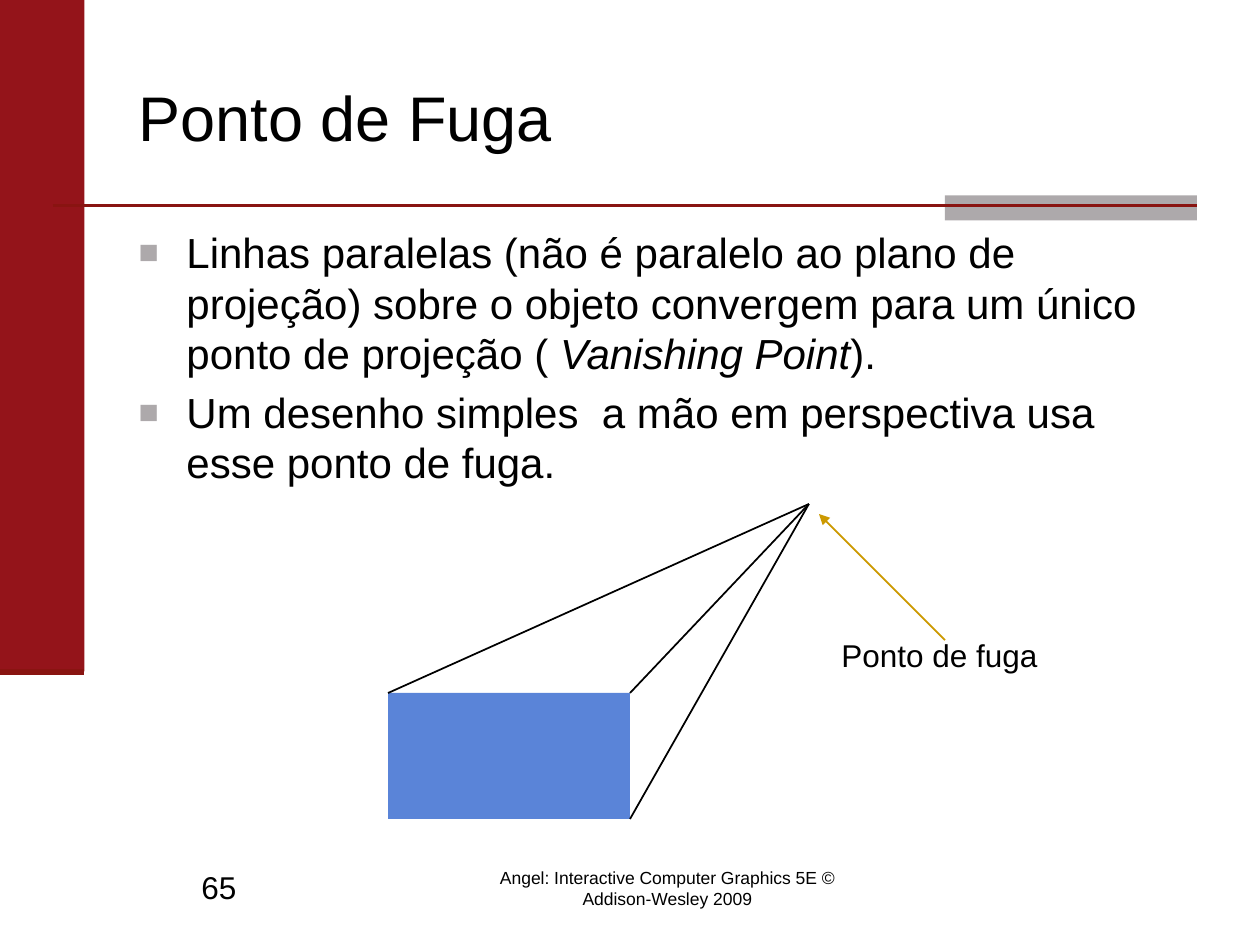
"""Build the slide about the vanishing point in perspective drawing."""
from lxml.etree import SubElement
from pptx import Presentation
from pptx.dml.color import RGBColor
from pptx.enum.shapes import MSO_CONNECTOR as Connector, MSO_SHAPE as Shape
from pptx.enum.text import MSO_ANCHOR as Anchor, MSO_AUTO_SIZE as AutoSize, PP_ALIGN as Align
from pptx.oxml.ns import qn
from pptx.util import Inches, Pt

COLORS = {"red": "94141A", "rule": "891411", "gray": "ADA9AB",
          "blue": "5A84D8", "gold": "CC9900", "black": "000000"}
WIDTH, HEIGHT = 10, 7.5
LEFT, RIGHT = 1, 9.5
BAND = (0.67, 5.33)
VANISHING_POINT = (6.42, 4)
FRONT = (3.08, 5.5, 1.92, 1)

TITLE = [[("Ponto de Fuga", False)]]
BULLETS = [
    [("Linhas paralelas (não é paralelo ao plano de projeção) sobre o objeto "
      "convergem para um único ponto de projeção ( ", False),
     ("Vanishing Point", True), (").", False)],
    [("Um desenho simples  a mão em perspectiva usa esse ponto de fuga.", False)],
]
PAGE = [[("65", False)]]
FOOTER = [[("Angel: Interactive Computer Graphics 5E © Addison-Wesley 2009", False)]]
LABEL = [[("Ponto de fuga", False)]]


def color(name):
    return RGBColor.from_string(COLORS[name])


def place(shape, box):
    shape.left, shape.top, shape.width, shape.height = map(Inches, box)


def add_bullet(properties):
    tint = SubElement(properties, qn("a:buClr"))
    SubElement(tint, qn("a:srgbClr"), val=COLORS["gray"])
    SubElement(properties, qn("a:buSzPct"), val="80000")
    SubElement(properties, qn("a:buFont"), typeface="Arial")
    SubElement(properties, qn("a:buChar"), char="■")


def write(shape, paragraphs, size=18, align=Align.LEFT, anchor=Anchor.TOP,
          indent=0, hanging=0, gap=0, bullet=False):
    frame = shape.text_frame
    frame.word_wrap = True
    frame.auto_size = AutoSize.NONE
    frame.vertical_anchor = anchor
    for index, runs in enumerate(paragraphs):
        paragraph = frame.add_paragraph() if index else frame.paragraphs[0]
        paragraph.alignment = align
        paragraph.space_before = Pt(gap if index else 0)
        properties = paragraph._p.get_or_add_pPr()
        properties.set("marL", str(Inches(indent)))
        properties.set("indent", str(Inches(-hanging)))
        if bullet:
            add_bullet(properties)
        for text, italic in runs:
            run = paragraph.add_run()
            run.text = text
            font = run.font
            font.name, font.size, font.italic = "Arial", Pt(size), italic
            font.color.rgb = color("black")


def add_text(slide, box, paragraphs, **style):
    write(slide.shapes.add_textbox(*map(Inches, box)), paragraphs, **style)


def add_block(slide, box, fill):
    block = slide.shapes.add_shape(Shape.RECTANGLE, *map(Inches, box))
    block.shadow.inherit = False
    block.fill.solid()
    block.fill.fore_color.rgb = color(fill)
    block.line.fill.background()


def add_line(slide, start, end, tint, weight=1, arrow=False):
    line = slide.shapes.add_connector(Connector.STRAIGHT, *map(Inches, start + end))
    line.line.color.rgb = color(tint)
    line.line.width = Pt(weight)
    if arrow:
        SubElement(line.line._get_or_add_ln(), qn("a:tailEnd"), type="triangle")
    SubElement(line._element.spPr, qn("a:effectLst"))


def main():
    deck = Presentation()
    deck.slide_width, deck.slide_height = Inches(WIDTH), Inches(HEIGHT)
    slide = deck.slides.add_slide(deck.slide_layouts[1])
    title, body = slide.placeholders

    add_block(slide, (0, 0, *BAND), "red")
    add_block(slide, (RIGHT - 2, 1.55, 2, 0.2), "gray")
    add_line(slide, (0.42, 1.63), (RIGHT, 1.63), "rule", 1.5)
    add_line(slide, (0, BAND[1]), BAND, "rule", 3.5)

    place(title, (LEFT, 0.3, RIGHT - LEFT, 1.25))
    write(title, TITLE, size=36, align=Align.JUSTIFY, anchor=Anchor.MIDDLE)
    place(body, (LEFT, 1.75, RIGHT - LEFT, 4.95))
    write(body, BULLETS, size=24, indent=0.38, hanging=0.38, gap=4.8, bullet=True)
    add_text(slide, (LEFT, 6.84, 2.17, 0.5), PAGE, indent=0.5)
    add_text(slide, (3.67, 6.83, 3.25, 0.5), FOOTER, size=10, align=Align.CENTER)

    add_block(slide, FRONT, "blue")
    left, top, width, height = FRONT
    right, bottom = left + width, top + height
    for corner in [(right, bottom), (right, top), (left, top)]:
        add_line(slide, corner, VANISHING_POINT, "black")
    add_line(slide, (7.5, 5.08), (6.5, 4.08), "gold", arrow=True)
    add_text(slide, (6.58, 5, 1.77, 0.4), LABEL)

    deck.save("out.pptx")


if __name__ == "__main__":
    main()
